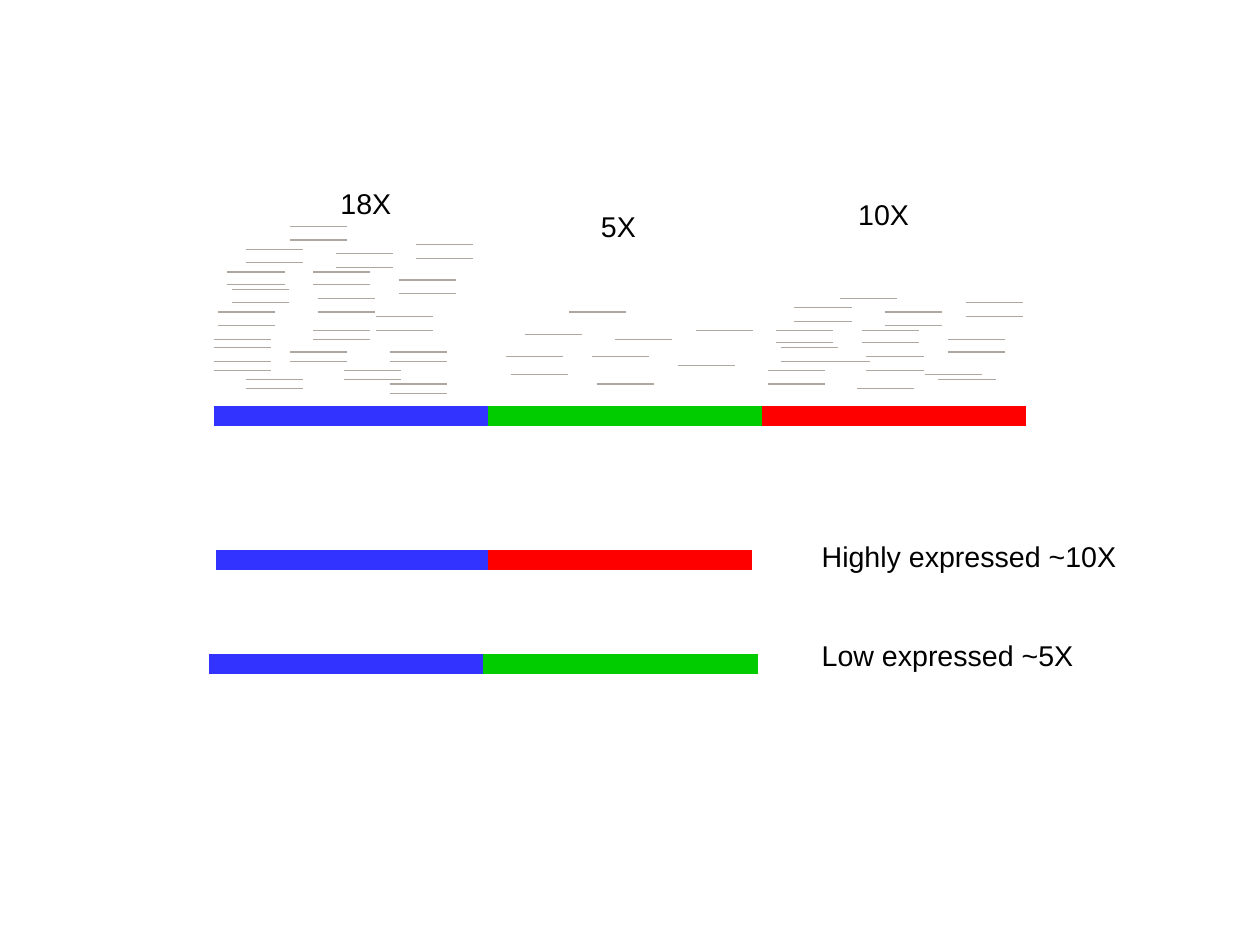
"""Build a slide of exon coverage and the isoforms it suggests."""
from lxml import etree
from pptx import Presentation
from pptx.dml.color import RGBColor
from pptx.enum.shapes import MSO_CONNECTOR
from pptx.enum.text import PP_ALIGN
from pptx.oxml.ns import qn
from pptx.util import Cm, Inches, Pt

STRAIGHT = MSO_CONNECTOR.STRAIGHT
LEFT = PP_ALIGN.LEFT

COLOURS = {
    "blue": "3333FF",
    "green": "00CC00",
    "red": "FF0000",
    "read": "AEA79F",
    "text": "000000",
}
FONT = "Arial"
READ_LENGTH = 0.5
EXON_WEIGHT = 12.95
READ_WEIGHT = 0.75
GENE_TOP = 3.64

# Reads of each exon: distance from its left end -> heights above it.
BLUE_READS = {
    0: (0.4, 0.48, 0.6, 0.67),
    0.04: (0.79, 0.91),
    0.12: (1.15, 1.26),
    0.16: (0.99, 1.11),
    0.28: (0.24, 0.32, 1.34, 1.46),
    0.67: (0.48, 0.56, 1.54, 1.66),
    0.87: (0.67, 0.75, 1.15, 1.26),
    0.91: (0.91, 1.03),
    1.07: (1.3, 1.42),
    1.14: (0.32, 0.4),
    1.42: (0.75, 0.87),
    1.54: (0.2, 0.28, 0.48, 0.56),
    1.62: (1.07, 1.19),
    1.77: (1.38, 1.5),
}
GREEN_READS = {
    0.16: (0.52,),
    0.2: (0.36,),
    0.32: (0.71,),
    0.71: (0.91,),
    0.91: (0.52,),
    0.95: (0.28,),
    1.11: (0.67,),
    1.66: (0.44,),
    1.82: (0.75,),
}
RED_READS = {
    0.05: (0.28, 0.4),
    0.12: (0.64, 0.75),
    0.16: (0.48, 0.6),
    0.28: (0.83, 0.95),
    0.44: (0.48,),
    0.68: (1.03,),
    0.83: (0.24,),
    0.87: (0.64, 0.75),
    0.91: (0.4, 0.52),
    1.07: (0.79, 0.91),
    1.42: (0.36,),
    1.54: (0.32,),
    1.62: (0.56, 0.67),
    1.78: (0.87, 0.99),
}


def add_line(slide, left, top, length, colour, weight):
    """Draw a horizontal line without a shadow."""
    line = slide.shapes.add_connector(
        STRAIGHT, Inches(left), Inches(top), Inches(left + length), Inches(top))
    line.line.color.rgb = RGBColor.from_string(COLOURS[colour])
    line.line.width = Pt(weight)
    etree.SubElement(line._element.spPr, qn("a:effectLst"))


def add_label(slide, left, top, width, text):
    """Place a one-line label."""
    box = slide.shapes.add_textbox(
        Inches(left), Inches(top), Inches(width), Inches(0.4))
    box.text_frame.word_wrap = False
    box.text_frame.text = text
    paragraph = box.text_frame.paragraphs[0]
    paragraph.alignment = LEFT
    paragraph.line_spacing = 0.94
    font = paragraph.runs[0].font
    font.name = FONT
    font.size = Pt(18)
    font.color.rgb = RGBColor.from_string(COLOURS["text"])


def add_covered_exon(slide, left, top, width, colour, reads, label):
    """Draw an exon with its reads stacked above and its coverage label."""
    add_line(slide, left, top, width, colour, EXON_WEIGHT)
    for offset, heights in reads.items():
        for height in heights:
            add_line(slide, left + offset, top - height, READ_LENGTH,
                     "read", READ_WEIGHT)
    text, label_offset, label_height, label_width = label
    add_label(slide, left + label_offset, top - label_height, label_width, text)


def add_isoform(slide, top, exons, text, label_top, label_width):
    """Draw an isoform from its exons, with its expression label."""
    for left, width, colour in exons:
        add_line(slide, left, top, width, colour, EXON_WEIGHT)
    add_label(slide, 7.09, label_top, label_width, text)


def main():
    """Build and save the slide."""
    presentation = Presentation()
    presentation.slide_width = Cm(28)
    presentation.slide_height = Cm(21)
    slide = presentation.slides.add_slide(presentation.slide_layouts[6])

    add_covered_exon(slide, 1.87, GENE_TOP, 2.4, "blue", BLUE_READS,
                     ("18X", 1.01, 2.04, 0.68))
    add_covered_exon(slide, 4.27, GENE_TOP, 2.4, "green", GREEN_READS,
                     ("5X", 0.89, 1.84, 0.54))
    add_covered_exon(slide, 6.67, GENE_TOP, 2.31, "red", RED_READS,
                     ("10X", 0.74, 1.94, 0.68))

    add_isoform(slide, 4.9, [(1.89, 2.4, "blue"), (4.27, 2.31, "red")],
                "Highly expressed ~10X", 4.69, 2.82)
    add_isoform(slide, 5.81, [(1.83, 2.4, "blue"), (4.23, 2.4, "green")],
                "Low expressed ~5X", 5.56, 2.42)

    presentation.save("out.pptx")


if __name__ == "__main__":
    main()
